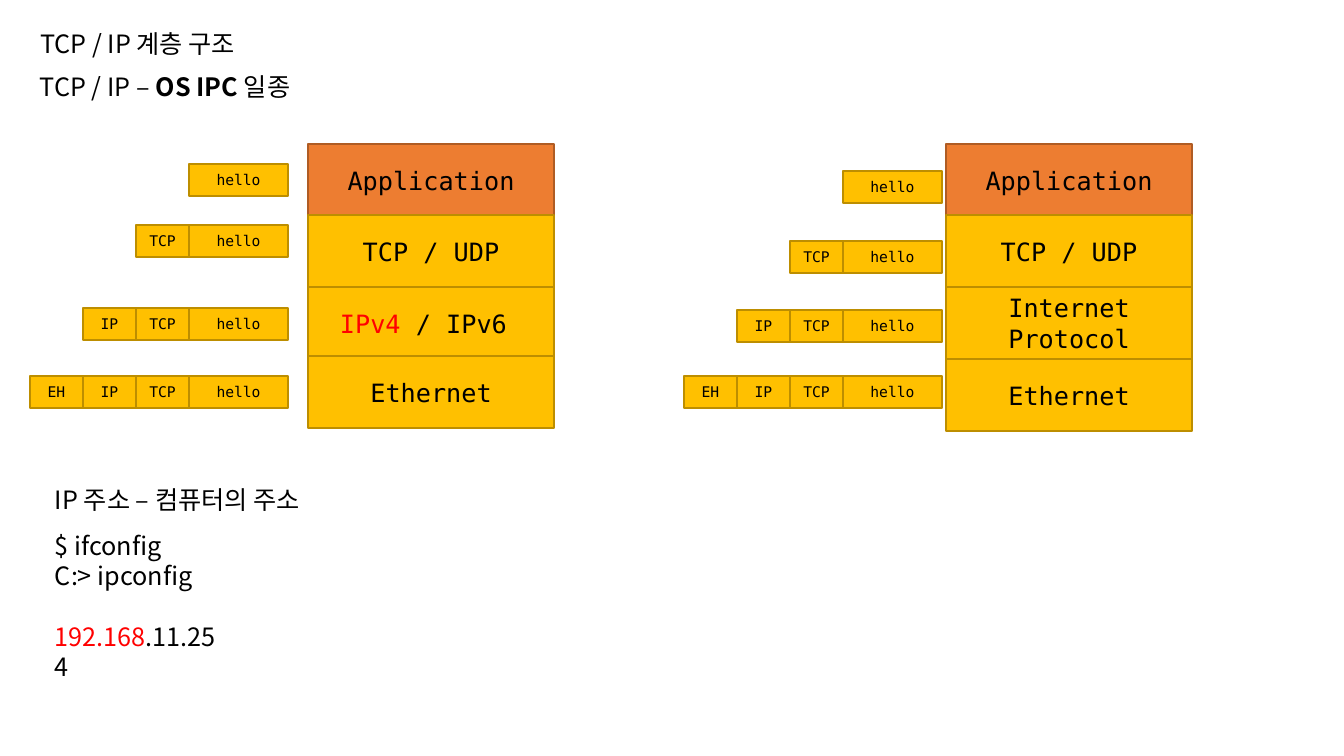
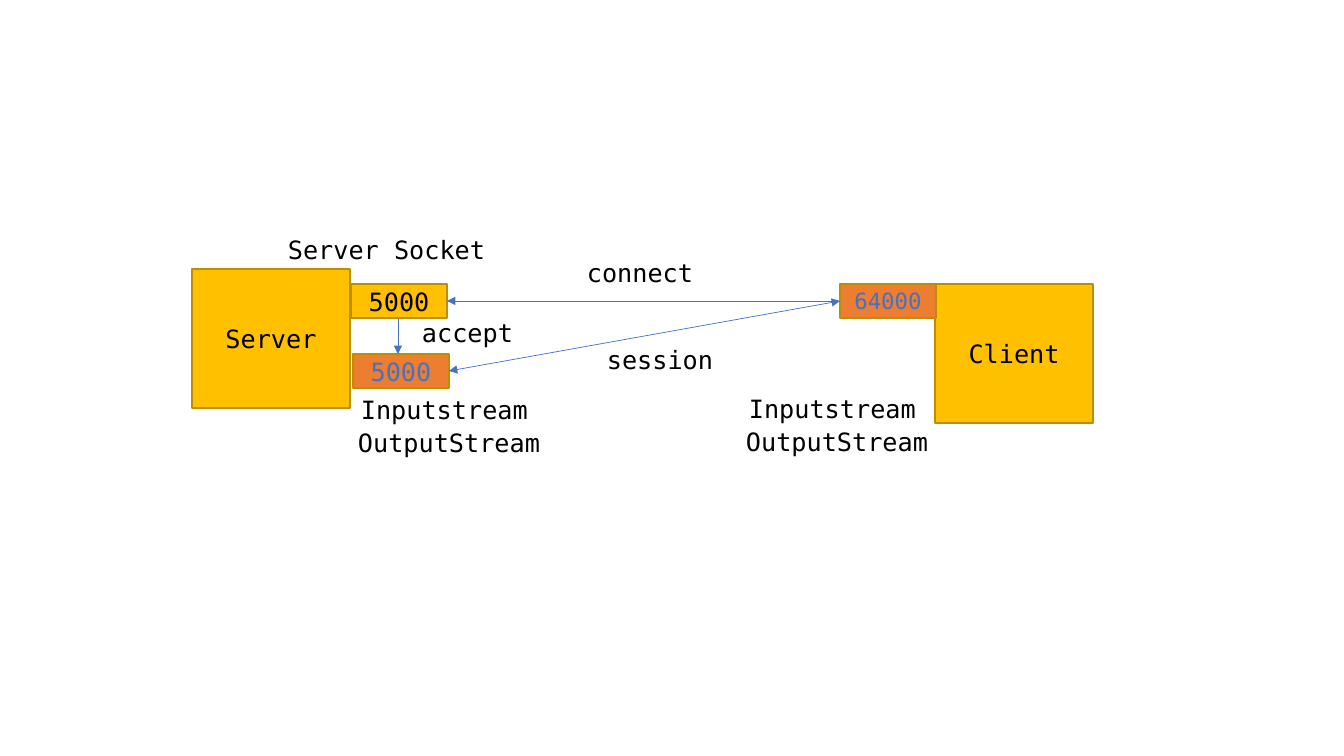
import pptx
import pptx.util
import pptx.dml.color
import pptx.enum.shapes
import pptx.enum.text
import pptx.oxml.ns
from lxml import etree

EMU_PER_PIXEL = 914400 / 100.8
COLORS = {
    "amber": "FFC000", "amber_edge": "BD8E00",
    "orange": "ED7D31", "orange_edge": "AF5C24",
    "black": "000000", "red": "FF0000", "blue": "4472C4",
}
MONO, KOREAN = "DejaVu Sans Mono", "Noto Sans CJK KR"
ALIGN = pptx.enum.text.PP_ALIGN
ANCHOR = pptx.enum.text.MSO_ANCHOR


def px(length):
    """Turn whole pixels into EMU."""
    return pptx.util.Emu(round(length * EMU_PER_PIXEL))


def color(name):
    """Look up a palette colour."""
    return pptx.dml.color.RGBColor.from_string(COLORS[name])


def set_values(target, values):
    """Set every attribute named in values."""
    for name, value in values.items():
        setattr(target, name, value)


class Deck:
    """Holds the presentation, the shared style and the current slide."""

    def __init__(self, width, height):
        """Start an empty presentation of the given size."""
        self.presentation = pptx.Presentation()
        set_values(self.presentation, {"slide_width": px(width), "slide_height": px(height)})
        self.slide = None

    def new_slide(self, layout):
        """Add a slide on the layout with this name."""
        layouts = self.presentation.slide_layouts
        self.slide = self.presentation.slides.add_slide(layouts.get_by_name(layout))

    def fill_text(self, shape, paragraphs, font=MONO, size=18, ink="black",
                  align=ALIGN.LEFT, anchor=ANCHOR.TOP):
        """Fill a shape with paragraphs, each a list of (text, ink, bold) runs or a string."""
        frame = shape.text_frame
        set_values(frame, {"word_wrap": True, "vertical_anchor": anchor,
                           "auto_size": pptx.enum.text.MSO_AUTO_SIZE.NONE})
        for index, runs in enumerate(paragraphs):
            paragraph = frame.add_paragraph() if index else frame.paragraphs[0]
            paragraph.alignment = align
            for words, run_ink, bold in [(runs, ink, False)] if isinstance(runs, str) else runs:
                run = paragraph.add_run()
                run.text = words
                set_values(run.font, {"name": font, "size": pptx.util.Pt(size), "bold": bold})
                run.font.color.rgb = color(run_ink)
                east_asian = etree.SubElement(run.font._element, pptx.oxml.ns.qn("a:ea"))
                east_asian.set("typeface", font)
        return frame

    def title(self, left, top, width, height, words):
        """Place the slide title in its placeholder."""
        heading = self.slide.shapes.title
        set_values(heading, {"left": px(left), "top": px(top),
                             "width": px(width), "height": px(height)})
        self.fill_text(heading, [words], font=KOREAN)

    def label(self, left, top, width, height, *paragraphs, font=MONO):
        """Add free-standing text."""
        label = self.slide.shapes.add_textbox(px(left), px(top), px(width), px(height))
        return self.fill_text(label, paragraphs, font=font)

    def box(self, left, top, width, height, words, fill="amber", edge="amber_edge", **style):
        """Add a filled rectangle with centred text."""
        box = self.slide.shapes.add_shape(
            pptx.enum.shapes.MSO_SHAPE.RECTANGLE, px(left), px(top), px(width), px(height))
        box.shadow.inherit = False
        box.fill.solid()
        box.fill.fore_color.rgb = color(fill)
        box.line.color.rgb = color(edge)
        box.line.width = pptx.util.Pt(1)
        self.fill_text(box, [words], align=ALIGN.CENTER, anchor=ANCHOR.MIDDLE, **style)

    def arrow(self, start, end, ends=("tailEnd",)):
        """Add a thin arrow with triangles at the given ends."""
        arrow = self.slide.shapes.add_connector(
            pptx.enum.shapes.MSO_CONNECTOR.STRAIGHT, *map(px, start + end))
        arrow.line.color.rgb = color("blue")
        arrow.line.width = pptx.util.Pt(0.5)
        outline = arrow.line._get_or_add_ln()
        for end_name in ends:
            etree.SubElement(outline, pptx.oxml.ns.qn("a:" + end_name)).set("type", "triangle")
        etree.SubElement(arrow._element.spPr, pptx.oxml.ns.qn("a:effectLst"))

    def stack(self, left, layers):
        """Draw protocol layers, the application layer in orange."""
        for top, words in layers:
            accent = {"fill": "orange", "edge": "orange_edge"} if words == "Application" else {}
            self.box(left, top, 246, 72, words, **accent)

    def packet(self, right, top, header_count):
        """Draw a message with headers growing to the left."""
        left = right - 99
        self.box(left, top, 99, 32, "hello", size=10.5)
        for header in ("TCP", "IP", "EH")[:header_count]:
            left -= 53
            self.box(left, top, 53, 32, header, size=10.5)


def layers_slide(deck):
    """Show the protocol layers and how headers wrap a message."""
    deck.new_slide("Title Only")
    deck.title(30, 23, 233, 40, "TCP / IP 계층 구조")
    deck.label(30, 66, 287, 40, [("TCP / IP – ", "black", False), ("OS IPC ", "black", True),
                                 ("일종", "black", False)], font=KOREAN)
    versions = [("IPv4", "red", False), (" / IPv6 ", "black", False)]
    deck.stack(308, [(144, "Application"), (215, "TCP / UDP"),
                     (287, versions), (356, "Ethernet")])
    deck.stack(946, [(144, "Application"), (215, "TCP / UDP"),
                     (287, "Internet Protocol"), (359, "Ethernet")])
    for right, tops in ((288, (164, 225, 308, 376)), (942, (171, 241, 310, 376))):
        for header_count, top in enumerate(tops):
            deck.packet(right, top, header_count)
    deck.label(45, 479, 294, 40, "IP 주소 – 컴퓨터의 주소", font=KOREAN)
    commands = deck.label(45, 525, 191, 163, "$ ifconfig", "C:> ipconfig",
                          [("192.168", "red", False), (".11.254", "black", False)], font=KOREAN)
    commands.paragraphs[-1].space_before = pptx.util.Pt(22)


def sockets_slide(deck):
    """Show how a client connects to a server socket."""
    deck.new_slide("Blank")
    deck.box(192, 269, 158, 139, "Server")
    deck.box(351, 284, 96, 34, "5000")
    deck.box(935, 284, 158, 139, "Client")
    deck.box(840, 284, 96, 34, "64000", fill="orange", ink="blue", size=16)
    deck.box(353, 354, 96, 34, "5000", fill="orange", ink="blue")
    deck.arrow((840, 301), (447, 301))
    deck.arrow((398, 319), (398, 354))
    deck.arrow((449, 371), (840, 301), ends=("headEnd", "tailEnd"))
    for left, top, width, words in (
            (278, 229, 232, "Server Socket"), (577, 252, 134, "connect"),
            (412, 312, 118, "accept"), (597, 339, 134, "session")):
        deck.label(left, top, width, 40, words)
    for left, top in ((351, 389), (739, 388)):
        deck.label(left, top, 200, 40, "Inputstream")
        deck.label(left - 3, top + 33, 216, 40, "OutputStream")


deck = Deck(1344, 756)
layers_slide(deck)
sockets_slide(deck)
deck.presentation.save("out.pptx")
